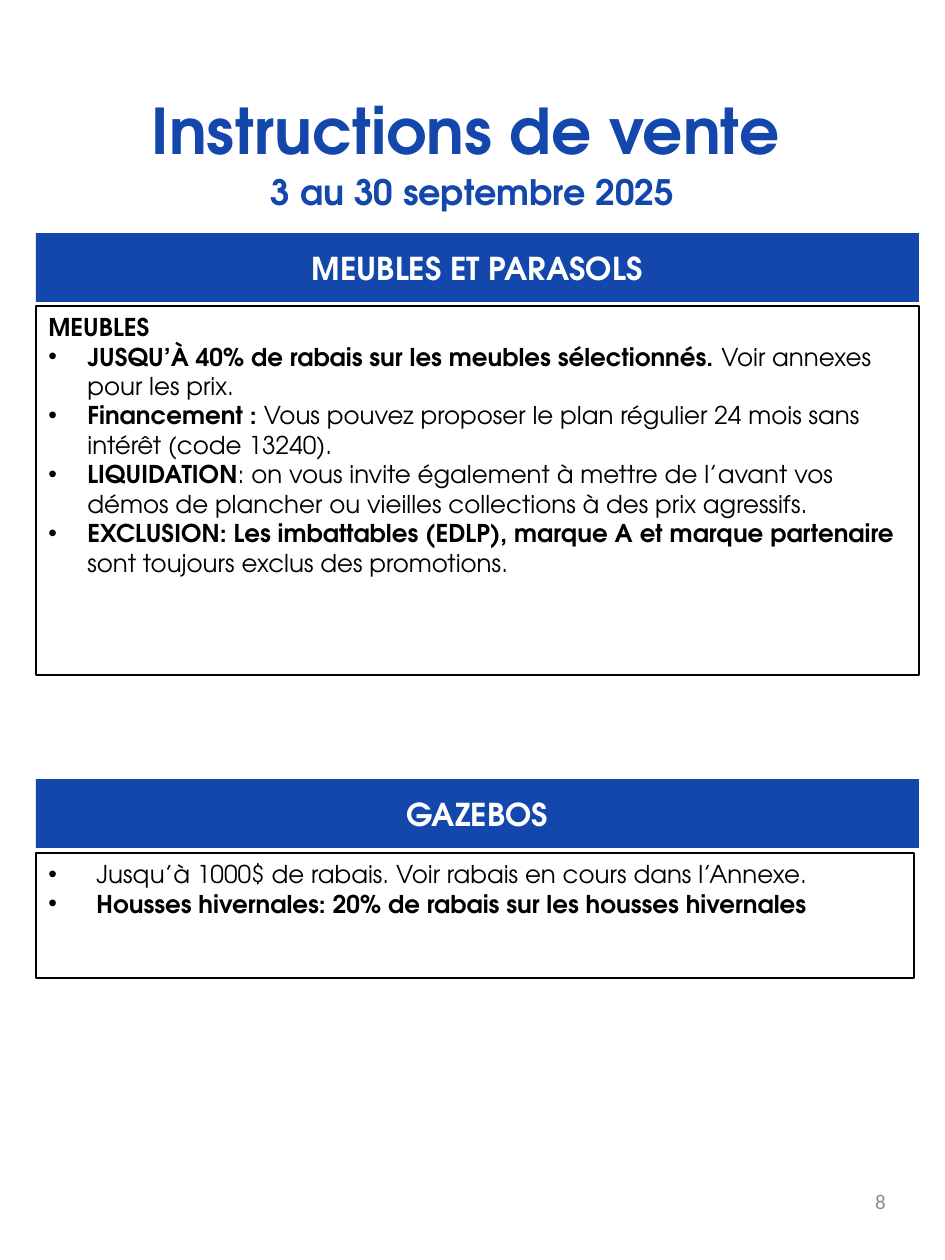
import pptx
import pptx.util
import pptx.dml.color
import pptx.enum.shapes
import pptx.enum.text
from lxml import etree
from dataclasses import dataclass

ALIGN = pptx.enum.text.PP_ALIGN
ANCHOR = pptx.enum.text.MSO_ANCHOR
NS = "http://schemas.openxmlformats.org/drawingml/2006/main"


@dataclass(frozen=True)
class Theme:
    face: str = "TeX Gyre Adventor"
    plain: str = "Calibri"
    blue: str = "1447AB"
    white: str = "FFFFFF"
    black: str = "000000"
    grey: str = "8C8C8C"
    title: int = 36
    dates: int = 20
    band: int = 18
    body: int = 14
    page: int = 12


T = Theme()

# Each paragraph is (bulleted, [(text, bold), ...]); boxes are left, top, width, height.
SECTIONS = [
    {
        "name": "MEUBLES ET PARASOLS", "band": (36, 233, 883, 69),
        "box": (36, 306, 883, 369), "indent": 39,
        "lines": [
            (False, [("MEUBLES", True)]),
            (True, [("JUSQU’À 40% de rabais sur les meubles sélectionnés. ", True),
                    ("Voir annexes pour les prix.", False)]),
            (True, [("Financement : ", True),
                    ("Vous pouvez proposer le plan régulier 24 mois sans "
                     "intérêt (code 13240).", False)]),
            (True, [("LIQUIDATION", True),
                    (": on vous invite également à mettre de l’avant vos démos de "
                     "plancher ou vieilles collections à des prix agressifs.", False)]),
            (True, [("EXCLUSION: Les imbattables (EDLP), marque A et "
                     "marque partenaire ", True),
                    ("sont toujours exclus des promotions.", False)]),
        ],
    },
    {
        "name": "GAZEBOS", "band": (36, 779, 883, 69),
        "box": (36, 853, 878, 125), "indent": 48,
        "lines": [
            (True, [("Jusqu’à 1000$ de rabais. Voir rabais en cours dans l’Annexe.",
                     False)]),
            (True, [("Housses hivernales: 20% de rabais sur les housses hivernales",
                     True)]),
        ],
    },
]

HEAD = {"alignment": ALIGN.CENTER, "line_spacing": 1.15,
        "space_after": pptx.util.Pt(10)}
LABELS = [
    ("Instructions de vente", (40, 74, 851, 100), T.title, T.blue, T.face, True,
     HEAD, ANCHOR.TOP),
    ("3 au 30 septembre 2025", (170, 158, 605, 60), T.dates, T.blue, T.face, True,
     HEAD, ANCHOR.TOP),
    ("8", (678, 1168, 220, 67), T.page, T.grey, T.plain, False,
     {"alignment": ALIGN.RIGHT}, ANCHOR.MIDDLE),
]


def px(n):
    return round(n * 914400 / 126)


def rgb(code):
    return pptx.dml.color.RGBColor.from_string(code)


def apply(item, values):
    for key, value in values.items():
        setattr(item, key, value)


def write(para, runs, size, color, face=T.face):
    for text, bold in runs:
        run = para.add_run()
        run.text = text
        apply(run.font, {"size": pptx.util.Pt(size), "bold": bold, "name": face})
        run.font.color.rgb = rgb(color)


def bullet(para, indent):
    props = para._p.get_or_add_pPr()
    props.set("marL", str(px(indent)))
    props.set("indent", str(-px(indent)))
    etree.SubElement(props, f"{{{NS}}}buFont", typeface="Arial")
    etree.SubElement(props, f"{{{NS}}}buChar", char="•")


def rect(slide, place, fill=None, line=None):
    shape = slide.shapes.add_shape(
        pptx.enum.shapes.MSO_SHAPE.RECTANGLE, *map(px, place))
    shape.shadow.inherit = False
    if fill:
        shape.fill.solid()
        shape.fill.fore_color.rgb = rgb(fill)
    else:
        shape.fill.background()
    if line:
        shape.line.color.rgb = rgb(line)
        shape.line.width = pptx.util.Pt(0.75)
    else:
        shape.line.fill.background()
    return shape.text_frame


def section(slide, data):
    frame = rect(slide, data["band"], fill=T.blue)
    frame.vertical_anchor = ANCHOR.MIDDLE
    para = frame.paragraphs[0]
    para.alignment = ALIGN.CENTER
    write(para, [(data["name"], True)], T.band, T.white)

    frame = rect(slide, data["box"], line=T.black)
    apply(frame, {"word_wrap": True, "vertical_anchor": ANCHOR.TOP})
    for i, (dot, runs) in enumerate(data["lines"]):
        para = frame.add_paragraph() if i else frame.paragraphs[0]
        if dot:
            bullet(para, data["indent"])
        para.alignment = ALIGN.LEFT
        write(para, runs, T.body, T.black)


def label(slide, text, place, size, color, face, bold, form, anchor):
    frame = slide.shapes.add_textbox(*map(px, place)).text_frame
    apply(frame, {"word_wrap": True, "vertical_anchor": anchor})
    para = frame.paragraphs[0]
    apply(para, form)
    write(para, [(text, bold)], size, color, face)


def main():
    deck = pptx.Presentation()
    apply(deck, {"slide_width": px(945), "slide_height": px(1260)})
    slide = deck.slides.add_slide(deck.slide_layouts[6])
    for data in SECTIONS:
        section(slide, data)
    for item in LABELS:
        label(slide, *item)
    deck.save("out.pptx")


if __name__ == "__main__":
    main()
